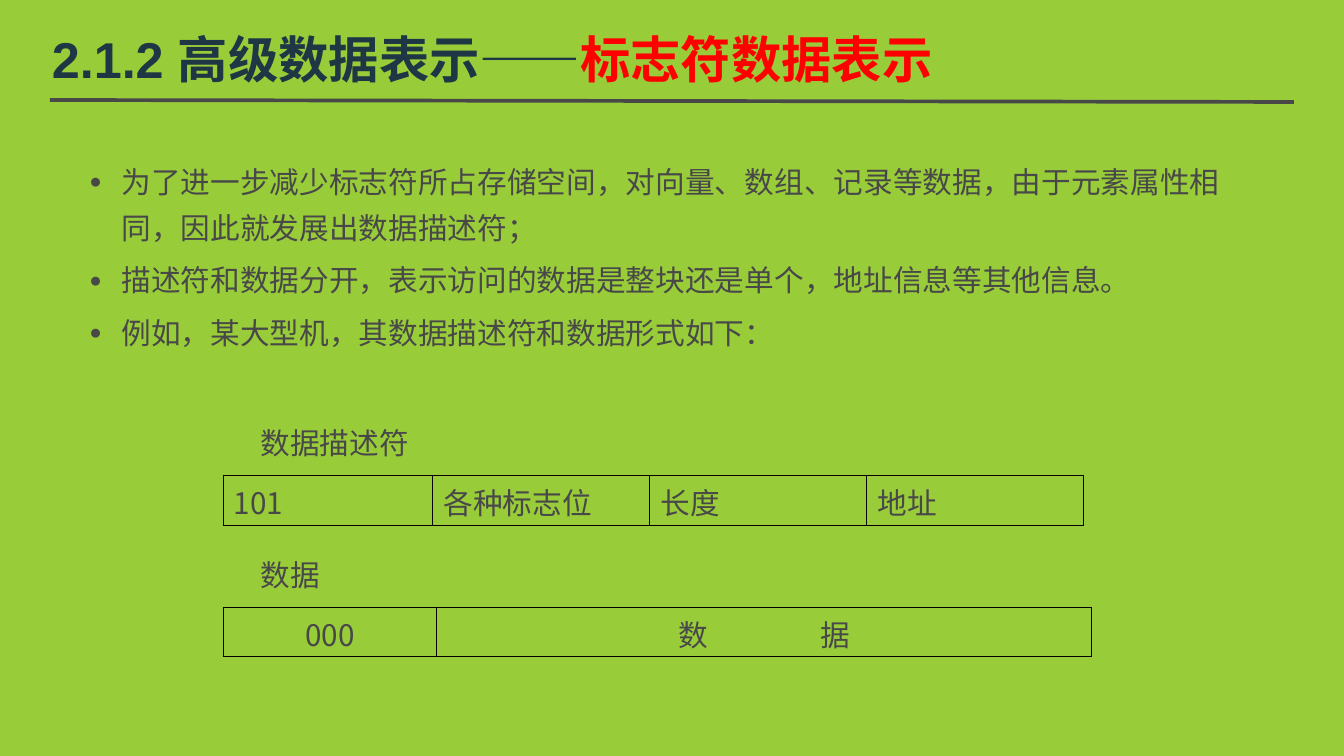
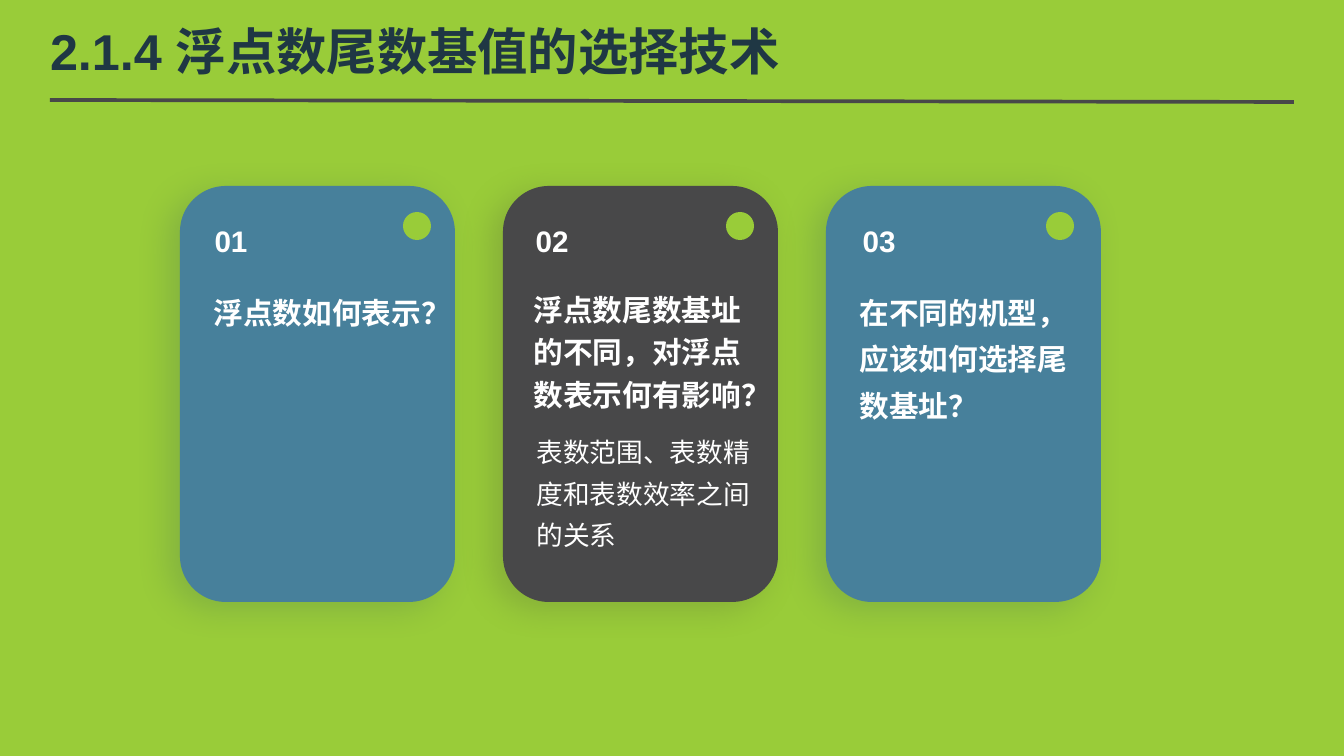
"""Build two lecture slides on data representation."""
import dataclasses
import typing

import lxml.etree
import pptx
import pptx.dml.color
import pptx.enum.shapes
import pptx.enum.text
import pptx.oxml.ns
import pptx.util

EMU_PER_PX = 8572.5
ALIGN = pptx.enum.text.PP_ALIGN
ANCHOR = pptx.enum.text.MSO_ANCHOR
SHAPE = pptx.enum.shapes.MSO_SHAPE


@dataclasses.dataclass(frozen=True)
class Theme:
    """Colours, fonts and type sizes of the deck."""
    green: str = "99CC39"
    gray: str = "484849"
    navy: str = "1F3744"
    red: str = "FF0000"
    blue: str = "47809B"
    blue_shadow: str = "294A5A"
    gray_shadow: str = "363637"
    white: str = "FFFFFF"
    black: str = "000000"
    latin: str = "Arial"
    chinese: str = "Noto Sans CJK SC"
    title_size: int = 34
    body_size: int = 20
    note_size: int = 18


THEME = Theme()


class Box(typing.NamedTuple):
    """A rectangle in px."""
    left: int
    top: int
    width: int
    height: int


@dataclasses.dataclass(frozen=True)
class Card:
    """A question card, with offsets in px from its left edge."""
    number: str
    question: str
    fill: str
    shadow: str
    number_left: int
    dot_left: int
    question_left: int
    question_width: int
    line_spacing: float
    answer: str = ""


CARDS = (
    Card("01", "浮点数如何表示？", THEME.blue, THEME.blue_shadow, 16, 223, 23, 229, 1.3),
    Card("02", "浮点数尾数基址的不同，对浮点数表示何有影响？", THEME.gray, THEME.gray_shadow,
         14, 223, 20, 234, 1.2, answer="表数范围、表数精度和表数效率之间的关系"),
    Card("03", "在不同的机型，应该如何选择尾数基址？", THEME.blue, THEME.blue_shadow,
         18, 220, 23, 229, 1.3),
)
CARD_BOX = Box(180, 186, 275, 416)
CARD_PITCH = 323

POINTS = (
    "为了进一步减少标志符所占存储空间，对向量、数组、记录等数据，由于元素属性相同，因此就发展出数据描述符；",
    "描述符和数据分开，表示访问的数据是整块还是单个，地址信息等其他信息。",
    "例如，某大型机，其数据描述符和数据形式如下：",
)


def px(length: float) -> pptx.util.Emu:
    """Turn px into EMU."""
    return pptx.util.Emu(round(length * EMU_PER_PX))


def emu(box: Box) -> list[pptx.util.Emu]:
    """Turn a px box into EMU."""
    return [px(length) for length in box]


def rgb(color: str) -> pptx.dml.color.RGBColor:
    """Turn a hex string into a colour."""
    return pptx.dml.color.RGBColor.from_string(color)


def add_element(parent: typing.Any, tag: str, **attributes: str) -> typing.Any:
    """Append a DrawingML element."""
    return lxml.etree.SubElement(parent, pptx.oxml.ns.qn(f"a:{tag}"), attributes)


def add_color(parent: typing.Any, color: str) -> typing.Any:
    """Append a hex colour element."""
    return add_element(parent, "srgbClr", val=color)


def write_span(para: typing.Any, text: str, *, size: int = THEME.body_size,
               color: str = THEME.gray, font: str = THEME.chinese, bold: bool = False) -> None:
    """Add a formatted run to a paragraph."""
    span = para.add_run()
    span.text = text
    span.font.size = pptx.util.Pt(size)
    span.font.bold = bold
    span.font.color.rgb = rgb(color)
    span.font.name = font
    add_element(span.font._element, "ea", typeface=THEME.chinese)


def add_frame(page: typing.Any, box: Box, *, wrap: bool = True, inset: bool = True,
              anchor: ANCHOR = ANCHOR.TOP) -> typing.Any:
    """Add a text box and return its text frame."""
    frame = page.shapes.add_textbox(*emu(box)).text_frame
    frame.word_wrap = wrap
    frame.vertical_anchor = anchor
    if not inset:
        frame.margin_left = frame.margin_right = frame.margin_top = frame.margin_bottom = 0
    return frame


def add_page(deck: typing.Any, title_box: Box, title: str, accent: str = "") -> typing.Any:
    """Add a slide with background, title and rule."""
    page = deck.slides.add_slide(deck.slide_layouts[6])
    page.background.fill.solid()
    page.background.fill.fore_color.rgb = rgb(THEME.green)
    rule = page.shapes.add_connector(pptx.enum.shapes.MSO_CONNECTOR.STRAIGHT,
                                     px(50), px(100), px(1294), px(102))
    rule.line.color.rgb = rgb(THEME.gray)
    rule.line.width = pptx.util.Pt(2.5)
    add_element(rule._element.spPr, "effectLst")
    para = add_frame(page, title_box, inset=False, anchor=ANCHOR.MIDDLE).paragraphs[0]
    for text, color in ((title, THEME.navy), (accent, THEME.red)):
        if text:
            write_span(para, text, size=THEME.title_size, color=color, font=THEME.latin, bold=True)
    return page


def add_points(page: typing.Any, box: Box, points: typing.Sequence[str]) -> None:
    """Add a bulleted list."""
    frame = add_frame(page, box)
    frame.margin_right = px(48)
    for index, text in enumerate(points):
        para = frame.add_paragraph() if index else frame.paragraphs[0]
        para.line_spacing = 1.3
        para.space_before = pptx.util.Pt(2 if index else 0)
        para.space_after = pptx.util.Pt(2)
        properties = para._p.get_or_add_pPr()
        properties.set("marL", str(px(32)))
        properties.set("indent", str(px(-32)))
        add_color(add_element(properties, "buClr"), THEME.gray)
        add_element(properties, "buSzPct", val="70000")
        add_element(properties, "buFont", typeface=THEME.latin)
        add_element(properties, "buChar", char="●")
        write_span(para, text)


def border_cell(cell: typing.Any) -> None:
    """Draw thin black borders on a clear cell."""
    properties = cell._tc.get_or_add_tcPr()
    for side in ("lnL", "lnR", "lnT", "lnB"):
        line = add_element(properties, side, w=str(pptx.util.Pt(0.75)))
        add_color(add_element(line, "solidFill"), THEME.black)
    cell.fill.background()


def add_word(page: typing.Any, left: int, top: int, widths: typing.Sequence[int],
             texts: typing.Sequence[str], align: ALIGN = ALIGN.LEFT) -> typing.Any:
    """Add a one-row table of word fields."""
    box = Box(left, top, sum(widths), 50)
    table = page.shapes.add_table(1, len(widths), *emu(box)).table
    table.first_row = table.horz_banding = False
    for column, cell, width, text in zip(table.columns, table.rows[0].cells, widths, texts):
        column.width = px(width)
        cell.margin_top = px(4)
        cell.margin_bottom = 0
        cell.vertical_anchor = ANCHOR.MIDDLE
        border_cell(cell)
        para = cell.text_frame.paragraphs[0]
        para.alignment = align
        write_span(para, text)
    return table


def spread_cell(cell: typing.Any, margin: int, tab: int) -> None:
    """Set the cell's left margin and one tab stop."""
    cell.margin_left = px(margin)
    para = cell.text_frame.paragraphs[0]
    para.alignment = ALIGN.LEFT
    tabs = add_element(para._p.get_or_add_pPr(), "tabLst")
    add_element(tabs, "tab", pos=str(px(tab)), algn="l")


def add_solid(page: typing.Any, shape: SHAPE, box: Box, fill: str) -> typing.Any:
    """Add a filled shape without outline or shadow."""
    solid = page.shapes.add_shape(shape, *emu(box))
    solid.shadow.inherit = False
    solid.fill.solid()
    solid.fill.fore_color.rgb = rgb(fill)
    solid.line.fill.background()
    return solid


def cast_shadow(solid: typing.Any, color: str) -> None:
    """Give a shape a soft shadow."""
    effects = solid._element.spPr.find(pptx.oxml.ns.qn("a:effectLst"))
    shadow = add_element(effects, "outerShdw", blurRad=str(pptx.util.Pt(23)),
                         dist=str(pptx.util.Pt(9)), dir=str(150 * 60000), rotWithShape="0")
    add_element(add_color(shadow, color), "alpha", val="20000")


def add_card(page: typing.Any, card: Card, left: int) -> None:
    """Draw one question card."""
    panel = add_solid(page, SHAPE.ROUNDED_RECTANGLE, CARD_BOX._replace(left=left), card.fill)
    cast_shadow(panel, card.shadow)
    add_solid(page, SHAPE.OVAL, Box(left + card.dot_left, 212, 28, 28), THEME.green)
    number = add_frame(page, Box(left + card.number_left, 219, 70, 43),
                       anchor=ANCHOR.MIDDLE).paragraphs[0]
    number.alignment = ALIGN.CENTER
    write_span(number, card.number, color=THEME.white, font=THEME.latin, bold=True)
    question = add_frame(page, Box(left + card.question_left, 279,
                                   card.question_width, 142)).paragraphs[0]
    question.line_spacing = card.line_spacing
    write_span(question, card.question, color=THEME.white, bold=True)
    if card.answer:
        answer = add_frame(page, Box(left + 23, 421, 252, 137)).paragraphs[0]
        answer.line_spacing = 1.3
        write_span(answer, card.answer, size=THEME.note_size, color=THEME.white)


def build_descriptor_page(deck: typing.Any) -> None:
    """Build the slide on data descriptors."""
    page = add_page(deck, Box(52, 23, 980, 71), "2.1.2 高级数据表示——", "标志符数据表示")
    add_points(page, Box(79, 148, 1206, 205), POINTS)
    for label, top, width in (("数据描述符", 420, 171), ("数据", 552, 81)):
        frame = add_frame(page, Box(250, top, width, 47), wrap=False)
        write_span(frame.paragraphs[0], label)
    add_word(page, 223, 475, (210, 217, 217, 217), ("101", "各种标志位", "长度", "地址"))
    data = add_word(page, 223, 607, (214, 655), ("000", "数\t据"), ALIGN.CENTER)
    spread_cell(data.cell(0, 1), 242, 142)


def build_question_page(deck: typing.Any) -> None:
    """Build the slide of question cards."""
    page = add_page(deck, Box(50, 17, 1243, 67), "2.1.4 浮点数尾数基值的选择技术")
    for index, card in enumerate(CARDS):
        add_card(page, card, CARD_BOX.left + index * CARD_PITCH)


def main() -> None:
    """Build and save the deck."""
    deck = pptx.Presentation()
    deck.slide_width, deck.slide_height = px(1344), px(756)
    build_descriptor_page(deck)
    build_question_page(deck)
    deck.save("out.pptx")


if __name__ == "__main__":
    main()
